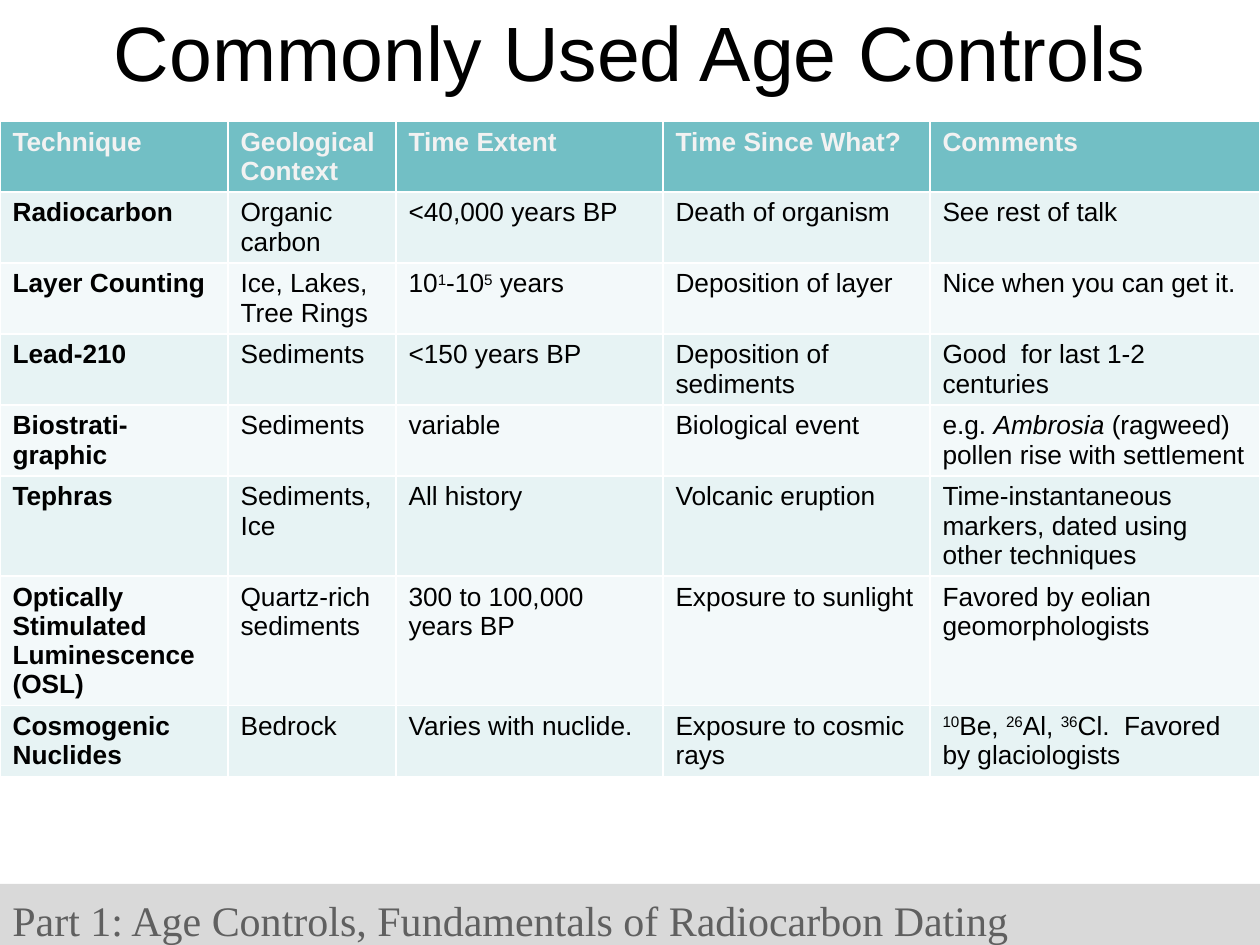
from pptx import Presentation
from pptx.dml.color import RGBColor
from pptx.enum.shapes import MSO_SHAPE
from pptx.enum.text import MSO_ANCHOR, PP_ALIGN
from pptx.util import Emu, Pt


def px(n):
    return Emu(round(n * 914400 / 126))


def add_run(p, text, color, **fmt):
    r = p.add_run()
    r.text = text
    r.font.color.rgb = RGBColor.from_string(color)
    for name, value in fmt.items():
        setattr(r.font, name, value)
    return r


ROWS = [
    ["Technique", "Geological Context", "Time Extent", "Time Since What?", "Comments"],
    ["Radiocarbon", "Organic carbon", "<40,000 years BP", "Death of organism",
     "See rest of talk"],
    ["Layer Counting", "Ice, Lakes, Tree Rings", "10^1^-10^5^ years",
     "Deposition of layer", "Nice when you can get it."],
    ["Lead-210", "Sediments", "<150 years BP", "Deposition of sediments",
     "Good  for last 1-2 centuries"],
    ["Biostrati-graphic", "Sediments", "variable", "Biological event",
     "e.g. *Ambrosia* (ragweed) pollen rise with settlement"],
    ["Tephras", "Sediments, Ice", "All history", "Volcanic eruption",
     "Time-instantaneous markers, dated using other techniques"],
    ["Optically Stimulated Luminescence (OSL)", "Quartz-rich sediments",
     "300 to 100,000 years BP", "Exposure to sunlight",
     "Favored by eolian geomorphologists"],
    ["Cosmogenic Nuclides", "Bedrock", "Varies with nuclide.",
     "Exposure to cosmic rays",
     "^10^Be, ^26^Al, ^36^Cl.  Favored by glaciologists"],
]
COL_WIDTHS = [228, 168, 267, 267, 330]
ROW_HEIGHT = 52
HEADER_FILL = "72BFC5"
BAND_FILLS = ["F3F9FA", "E7F3F4"]

prs = Presentation()
prs.slide_width, prs.slide_height = px(1260), px(945)
s = prs.slides.add_slide(prs.slide_layouts[5])

title = s.shapes.title
title.left, title.top, title.width, title.height = px(0), px(0), px(1260), px(102)
tf = title.text_frame
tf.vertical_anchor = MSO_ANCHOR.MIDDLE
p = tf.paragraphs[0]
p.alignment = PP_ALIGN.CENTER
add_run(p, "Commonly Used Age Controls", "000000", name="Arial", size=Pt(44))

footer = s.shapes.add_shape(MSO_SHAPE.RECTANGLE, px(0), px(884), px(1260), px(61))
footer.shadow.inherit = False
footer.fill.solid()
footer.fill.fore_color.rgb = RGBColor.from_string("D9D9D9")
footer.line.fill.background()
tf = footer.text_frame
tf.word_wrap = True
tf.vertical_anchor = MSO_ANCHOR.TOP
tf.margin_top, tf.margin_bottom = px(11), px(0)
p = tf.paragraphs[0]
p.alignment = PP_ALIGN.LEFT
add_run(p, "Part 1: Age Controls, Fundamentals of Radiocarbon Dating", "606060",
        name="Times New Roman", size=Pt(24))

table = s.shapes.add_table(len(ROWS), len(COL_WIDTHS), px(0), px(121), px(1260),
                           px(ROW_HEIGHT * len(ROWS))).table
for col, width in zip(table.columns, COL_WIDTHS):
    col.width = px(width)
for i, row in enumerate(ROWS):
    table.rows[i].height = px(ROW_HEIGHT)
    for j, text in enumerate(row):
        cell = table.cell(i, j)
        cell.fill.solid()
        cell.fill.fore_color.rgb = RGBColor.from_string(
            BAND_FILLS[i % 2] if i else HEADER_FILL)
        p = cell.text_frame.paragraphs[0]
        mark = "*" if "*" in text else "^"
        for k, part in enumerate(text.split(mark)):
            if not part:
                continue
            marked = k % 2 == 1
            r = add_run(p, part, "000000" if i else "F2F2F2", name="Arial",
                        size=Pt(15), bold=i == 0 or j == 0,
                        italic=marked and mark == "*")
            if marked and mark == "^":
                r._r.get_or_add_rPr().set("baseline", "30000")

prs.save("out.pptx")
